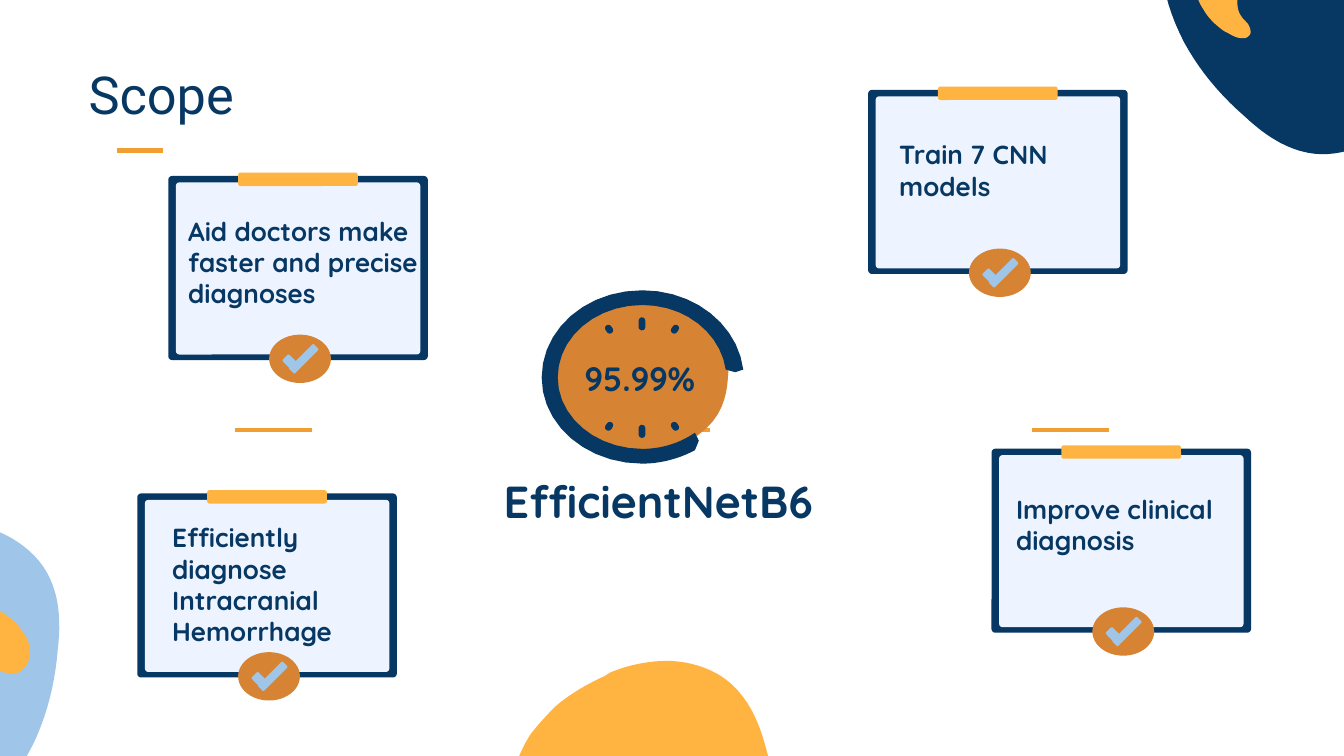
from pptx import Presentation
from pptx.dml.color import RGBColor
from pptx.enum.shapes import MSO_CONNECTOR, MSO_SHAPE as SHAPE
from pptx.enum.text import MSO_ANCHOR as ANCHOR, PP_ALIGN as ALIGN
from pptx.util import Pt
from lxml import etree

NAVY = RGBColor(0x07, 0x37, 0x63)
YELLOW = RGBColor(0xFF, 0xB3, 0x40)
AMBER = RGBColor(0xF1, 0x9F, 0x32)
ORANGE = RGBColor(0xD6, 0x84, 0x34)
SKY = RGBColor(0x9F, 0xC5, 0xE8)
PALE = RGBColor(0xED, 0xF4, 0xFF)
A_NS = "http://schemas.openxmlformats.org/drawingml/2006/main"

# Outlines: a start point, then lines (x, y) and Bezier curves (x1, y1, x2, y2, x, y)
BLOB = [
    (85, 0), (82.8, 0, 81.4, 0, 79.2, 0.7), (68.4, 1.4, 58.3, 2.9, 48.2, 6.5),
    (41.8, 9.4, 36, 12.2, 30.2, 15.8), (15.8, 26.6, 5, 42.5, 2.2, 59.8),
    (0, 71.3, 1.4, 85, 11.5, 92.2), (20.2, 98.6, 33.1, 97.2, 43.2, 103.7),
    (49, 107.3, 52.6, 113, 54.7, 119.5), (56.9, 126.7, 56.9, 133.2, 56.9, 140.4),
    (56.2, 144, 56.2, 146.9, 56.9, 150.5), (58.3, 158.4, 66.2, 164.2, 74.9, 164.9),
    (75.6, 165.6, 76.3, 165.6, 77, 165.6), (85, 165.6, 92.2, 162, 98.6, 158.4),
    (113.8, 149, 124.6, 134.6, 132.5, 118.8), (139.7, 103.7, 144, 86.4, 145.4, 69.1),
    (146.9, 56.2, 146.9, 42.5, 141.1, 30.2), (136.1, 19.4, 126, 10.8, 114.5, 5.8),
    (105.8, 2.2, 95, 0, 85, 0),
]
DROP = [
    (5.8, 0), (3.6, 0, 2.2, 0, 0.7, 2.2), (0, 3.6, 0.7, 5.8, 2.2, 7.9),
    (3.6, 9.4, 5, 10.1, 6.5, 12.2), (9.4, 15.8, 8.6, 20.9, 9.4, 25.2),
    (9.4, 28.8, 11.5, 32.4, 14.4, 34.6), (15.8, 36, 18, 36.7, 20.2, 36.7),
    (21.6, 37.4, 23, 36.7, 23.8, 36.7), (28.1, 35.3, 31, 31, 31, 25.9),
    (31.7, 21.6, 29.5, 17.3, 26.6, 13.7), (23.8, 9.4, 19.4, 5.8, 14.4, 2.9),
    (12.2, 2.2, 8.6, 0, 5.8, 0),
]
DISC = [
    (100.1, 42.5), (97.9, 22.3, 77.8, 6.5, 54, 6.5), (28.1, 6.5, 6.5, 24.5, 6.5, 46.8),
    (6.5, 69.1, 28.1, 86.4, 54, 86.4), (64.8, 86.4, 75.6, 83.5, 83.5, 77.8),
    (100.1, 66.2, 99.4, 50.4, 100.1, 42.5),
]
RING = [
    (108, 42.5), (105.1, 18.7, 82.1, 0, 54, 0), (23.8, 0, 0, 20.9, 0, 46.8),
    (0, 72, 23.8, 92.9, 54, 92.9), (64.1, 92.9, 74.2, 90, 82.1, 85.7),
    (84.2, 80.6), (82.1, 76.3), (74.9, 81.4, 64.8, 85, 54, 85),
    (28.8, 85, 8.6, 67.7, 8.6, 46.8), (8.6, 25.2, 28.8, 7.9, 54, 7.9),
    (77, 7.9, 95.8, 23, 98.6, 42.5), (103.7, 43.9),
]

prs = Presentation()
prs.slide_width, prs.slide_height = Pt(720), Pt(405)
s = prs.slides.add_slide(prs.slide_layouts[5])


def add_outline(outline, left, top, color, rotation=0):
    """Draw an outline as a freeform, each curve split into short lines."""
    x0, y0 = outline[0]
    builder = s.shapes.build_freeform(Pt(x0), Pt(y0), scale=1.0)
    points = []
    for step in outline[1:]:
        if len(step) == 2:
            points.append(step)
        else:
            x1, y1, x2, y2, x3, y3 = step
            for t in (i / 10 for i in range(1, 11)):
                a, b, c, d = (1 - t) ** 3, 3 * t * (1 - t) ** 2, 3 * t * t * (1 - t), t ** 3
                points.append((a * x0 + b * x1 + c * x2 + d * x3,
                               a * y0 + b * y1 + c * y2 + d * y3))
        x0, y0 = step[-2:]
    builder.add_line_segments([(Pt(x), Pt(y)) for x, y in points], close=True)
    sp = builder.convert_to_shape(Pt(left), Pt(top))
    sp.shadow.inherit = False
    sp.fill.solid()
    sp.fill.fore_color.rgb = color
    sp.line.fill.background()
    sp.rotation = rotation


def add_block(kind, left, top, width, height, color, corner=None, rotation=0):
    sp = s.shapes.add_shape(kind, Pt(left), Pt(top), Pt(width), Pt(height))
    sp.shadow.inherit = False
    sp.fill.solid()
    sp.fill.fore_color.rgb = color
    sp.line.fill.background()
    if corner is not None:
        sp.adjustments[0] = corner
    sp.rotation = rotation


# Background blobs and rules
add_outline(BLOB, 275, 357.8, YELLOW, 339)
for x1, x2, y in [(62.6, 87.1, 80.6), (126, 167, 230.4), (339.8, 380.2, 230.4), (553, 594, 230.4)]:
    rule = s.shapes.add_connector(MSO_CONNECTOR.STRAIGHT, Pt(x1), Pt(y), Pt(x2), Pt(y))
    rule.line.color.rgb = AMBER
    rule.line.width = Pt(2.25)
    etree.SubElement(rule._element.spPr, f"{{{A_NS}}}effectLst")
add_outline(BLOB, 624.2, -86.4, NAVY, 126.3)
add_outline(BLOB, -114.5, 279.4, SKY)
add_outline(DROP, -15.1, 324, YELLOW)
add_outline(DROP, 640.1, -17.4, YELLOW, 184.7)

# Clipboard cards with a check badge
for left, top in [(465.1, 48.2), (73.6, 264.4), (90.2, 94.3), (531.2, 240.4)]:
    add_block(SHAPE.ROUNDED_RECTANGLE, left, top, 139, 98.6, NAVY, 0.02)
    add_block(SHAPE.ROUNDED_RECTANGLE, left + 4, top + 3.4, 131, 92.2, PALE, 0.02)
    add_block(SHAPE.ROUNDED_RECTANGLE, left + 37.4, top - 1.8, 64.1, 7.2, YELLOW, 0.17)
    x, y = left + 54, top + 85
    add_block(SHAPE.OVAL, x, y, 33.1, 25.9, ORANGE)
    add_block(SHAPE.ROUNDED_RECTANGLE, x + 9.2, y + 10.8, 5, 8.6, SKY, 0.17, 315)
    add_block(SHAPE.ROUNDED_RECTANGLE, x + 16.4, y + 3.6, 4.3, 18.7, SKY, 0.17, 45)

# Accuracy dial
add_outline(DISC, 290.2, 155.5, ORANGE)
add_outline(RING, 290.2, 155.5, NAVY)
for cx, cy, height, rotation in [
        (343.9, 173.5, 7, 0), (343.9, 231.1, 7, 0), (361.6, 176.4, 5, 35),
        (326.3, 176.4, 5, -35), (326.3, 228.4, 5, 35), (361.6, 228.4, 5, -35)]:
    add_block(SHAPE.ROUNDED_RECTANGLE, cx - 1.8, cy - height / 2, 3.6, height, NAVY, 0.5, rotation)

# Title and texts: shape, box, text, font, size, bold, left inset, anchor, alignment
texts = [
    (s.shapes.title, (40.3, 34.6, 235.4, 31), "Scope", "Roboto", 28, False, 7.2, ANCHOR.MIDDLE, ALIGN.LEFT),
]
for box, text, size, inset, anchor, align in [
        ((463.7, 67, 137.5, 96), "Train 7 CNN models", 14, 18, ANCHOR.TOP, ALIGN.LEFT),
        ((74.2, 272.2, 153.4, 89.3), "Efficiently diagnose Intracranial Hemorrhage", 14, 18, ANCHOR.TOP, ALIGN.LEFT),
        ((82.8, 108, 153.4, 86.4), "Aid doctors make faster and precise diagnoses", 14, 18, ANCHOR.TOP, ALIGN.LEFT),
        ((526.3, 257, 157, 90.7), "Improve clinical diagnosis", 14, 18, ANCHOR.TOP, ALIGN.LEFT),
        ((298.1, 184.3, 81.4, 36.7), "95.99%", 18, 7.2, ANCHOR.TOP, ALIGN.RIGHT),
        ((262.8, 252.7, 239.8, 31), "EfficientNetB6", 24, 7.2, ANCHOR.MIDDLE, ALIGN.LEFT)]:
    sp = s.shapes.add_textbox(0, 0, 0, 0)
    texts.append((sp, box, text, "Quicksand", size, True, inset, anchor, align))

for sp, box, text, font, size, bold, inset, anchor, align in texts:
    sp.left, sp.top, sp.width, sp.height = [Pt(v) for v in box]
    tf = sp.text_frame
    frame_format = {
        "word_wrap": True, "vertical_anchor": anchor, "margin_left": Pt(inset),
        "margin_top": Pt(7.2), "margin_right": Pt(7.2), "margin_bottom": Pt(7.2),
    }
    for name, value in frame_format.items():
        setattr(tf, name, value)
    p = tf.paragraphs[0]
    p.alignment = align
    r = p.add_run()
    r.text = text
    for name, value in {"name": font, "size": Pt(size), "bold": bold}.items():
        setattr(r.font, name, value)
    r.font.color.rgb = NAVY

prs.save("out.pptx")
